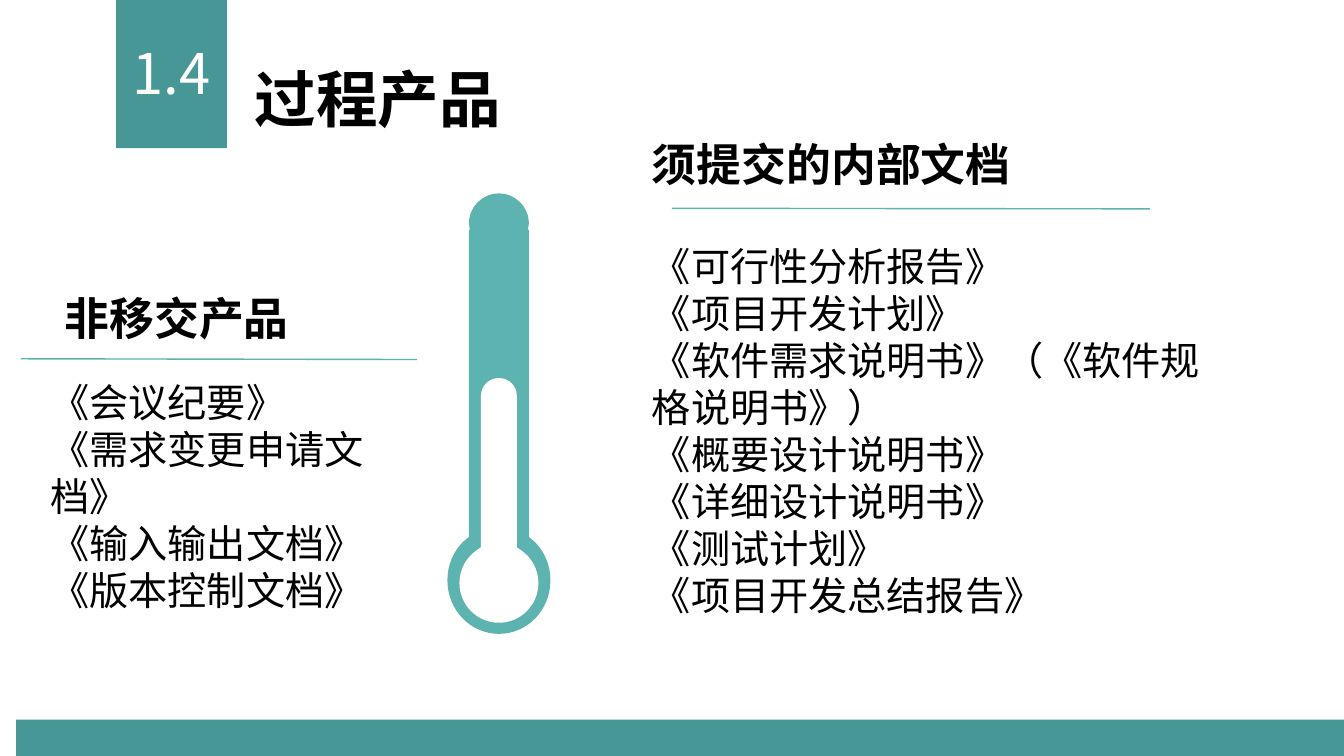
from lxml import etree
from pptx import Presentation
from pptx import util as u
from pptx.dml.color import RGBColor
from pptx.enum import shapes, text
from pptx.oxml import ns

Pt = u.Pt
DARK_TEAL = RGBColor(0x47, 0x97, 0x96)
TEAL = RGBColor(0x5D, 0xB3, 0xB0)
WHITE = RGBColor(0xFF, 0xFF, 0xFF)
BLACK = RGBColor(0, 0, 0)
HEADING_FONT = "Noto Sans CJK SC"
NUMBER_FONT = "Noto Sans CJK KR"
LIST_FONT = "Arial"


def write(box, area, lines, font, size, color=BLACK, bold=False, align=text.PP_ALIGN.LEFT):
    """Place a text box or placeholder and fill it, one plain paragraph a line."""
    box.left, box.top, box.width, box.height = [Pt(length) for length in area]
    frame = box.text_frame
    frame.word_wrap = True
    frame.auto_size = text.MSO_AUTO_SIZE.NONE
    frame.vertical_anchor = text.MSO_ANCHOR.TOP
    for number, line in enumerate(lines):
        para = frame.add_paragraph() if number else frame.paragraphs[0]
        para.alignment = align
        para.space_before = Pt(0)
        props = para._p.get_or_add_pPr()
        props.set("marL", "0")
        props.set("indent", "0")
        etree.SubElement(props, ns.qn("a:buNone"))
        span = para.add_run()
        span.text = line
        span.font.name = font
        span.font.size = Pt(size)
        span.font.bold = bold
        span.font.color.rgb = color
        east_asian = etree.SubElement(span._r.get_or_add_rPr(), ns.qn("a:ea"))
        east_asian.set("typeface", font)


def paint(shape, color):
    shape.shadow.inherit = False
    shape.fill.solid()
    shape.fill.fore_color.rgb = color
    shape.line.fill.background()


deck = Presentation()
deck.slide_width, deck.slide_height = Pt(960), Pt(540)
page = deck.slides.add_slide(deck.slide_layouts.get_by_name("Comparison"))
title, left_heading, left_list, right_heading, right_list = page.placeholders

# Section number and footer band
for area in [(83, 0, 79, 105.8), (11.5, 514, 960, 26)]:
    band = page.shapes.add_shape(shapes.MSO_SHAPE.RECTANGLE, *[Pt(length) for length in area])
    paint(band, DARK_TEAL)

section_number = page.shapes.add_textbox(0, 0, 0, 0)
write(section_number, (83, 24, 79, 55.5), ["1.4"], NUMBER_FONT, 40, WHITE,
      align=text.PP_ALIGN.CENTER)
write(title, (174.7, 40, 499, 60.5), ["过程产品"], HEADING_FONT, 44, bold=True)

# Thermometer: right halves as (distance from the axis, y); three points make a curve
AXIS_X = 356.4
UNITS = 100
THERMOMETER = [
    (TEAL, (0, 138.2), [
        [(11.8, 138.2), (21.4, 147.8), (21.4, 159.6)],
        [(20.8, 164.2)],
        [(21.4, 164.2)],
        [(21.4, 383.6)],
        [(25.9, 387.4)],
        [(32.6, 394.2), (36.8, 403.8), (36.8, 414.6)],
        [(36.8, 435.8), (20.3, 452.8), (0, 452.8)],
    ]),
    (WHITE, (0, 270), [
        [(7, 270), (12.8, 275.6), (12.8, 282.6)],
        [(12.8, 391)],
        [(15.8, 393)],
        [(23.2, 398), (28.2, 406.6), (28.2, 416.4)],
        [(28.2, 432), (15.6, 444.8), (0, 444.8)],
    ]),
]
for color, top, right_half in THERMOMETER:
    right_points = [top] + [point for segment in right_half for point in segment]
    left_points = [(-across, y) for across, y in reversed(right_points[:-1])]
    points = [((AXIS_X + across) * UNITS, y * UNITS) for across, y in right_points + left_points]
    outline = page.shapes.build_freeform(*points[0], scale=Pt(1) / UNITS)
    outline.add_line_segments(points[1:], close=True)
    part = outline.convert_to_shape()
    paint(part, color)
    steps = iter(part._element.findall(".//" + ns.qn("a:lnTo")))
    for segment in right_half + right_half[::-1]:
        first, *others = [next(steps) for point in segment]
        if others:
            curve = etree.Element(ns.qn("a:cubicBezTo"))
            first.addprevious(curve)
            for step in [first] + others:
                curve.append(step[0])
                step.getparent().remove(step)

# Rules under the two headings
for start_x, start_y, end_x, end_y in [(15, 256.3, 298, 256.8), (480, 148.8, 821.5, 149.2)]:
    rule = page.shapes.add_connector(shapes.MSO_CONNECTOR.STRAIGHT, Pt(start_x), Pt(start_y),
                                     Pt(end_x), Pt(end_y))
    rule.line.color.rgb = TEAL
    rule.line.width = Pt(1)
    etree.SubElement(rule._element.spPr, ns.qn("a:effectLst"))

write(left_heading, (39, 204.2, 215, 46), ["非移交产品"], HEADING_FONT, 32, bold=True)
write(left_list, (28.8, 266.5, 283.5, 211), [
    "《会议纪要》",
    "《需求变更申请文档》",
    "《输入输出文档》",
    "《版本控制文档》",
], LIST_FONT, 28)

write(right_heading, (458.5, 94, 278, 46), ["须提交的内部文档"], HEADING_FONT, 32, bold=True)
write(right_list, (458.5, 169.3, 407, 278.5), [
    "《可行性分析报告》",
    "《项目开发计划》",
    "《软件需求说明书》（《软件规格说明书》）",
    "《概要设计说明书》",
    "《详细设计说明书》",
    "《测试计划》",
    "《项目开发总结报告》",
], LIST_FONT, 28)

deck.save("out.pptx")
